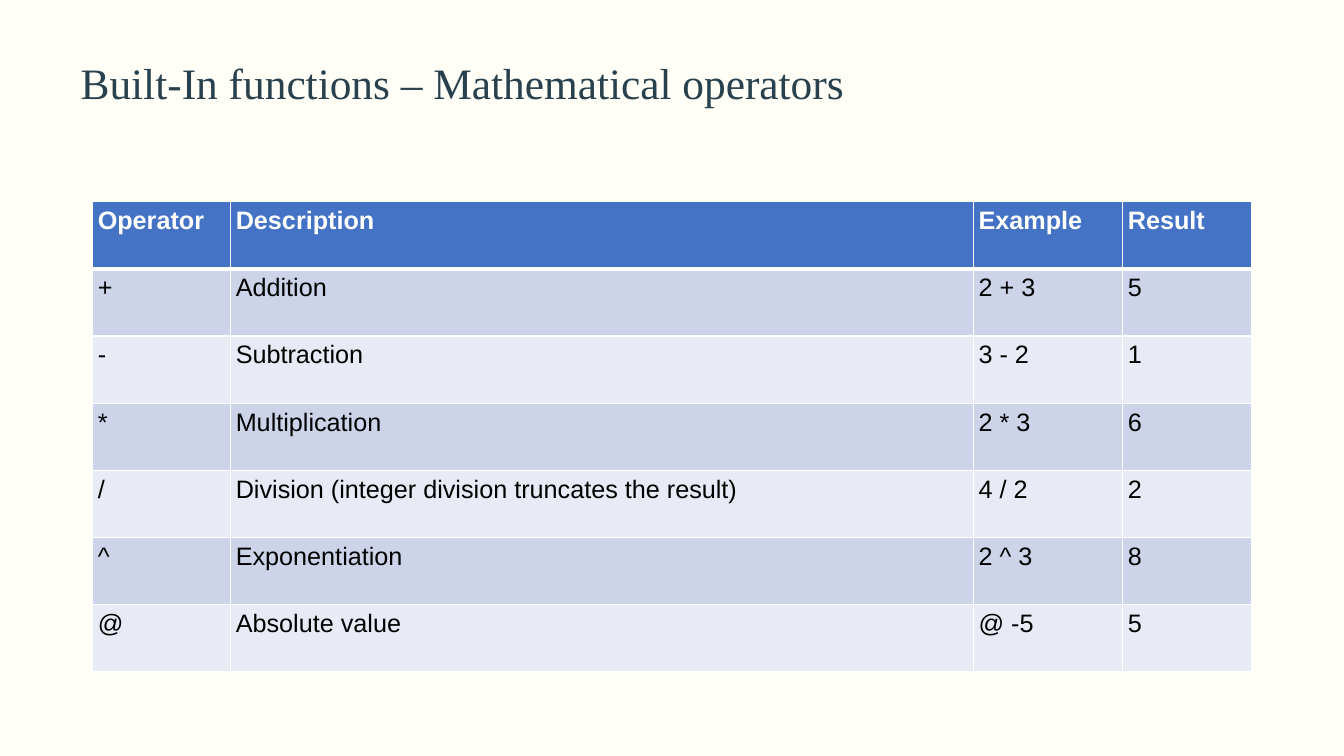
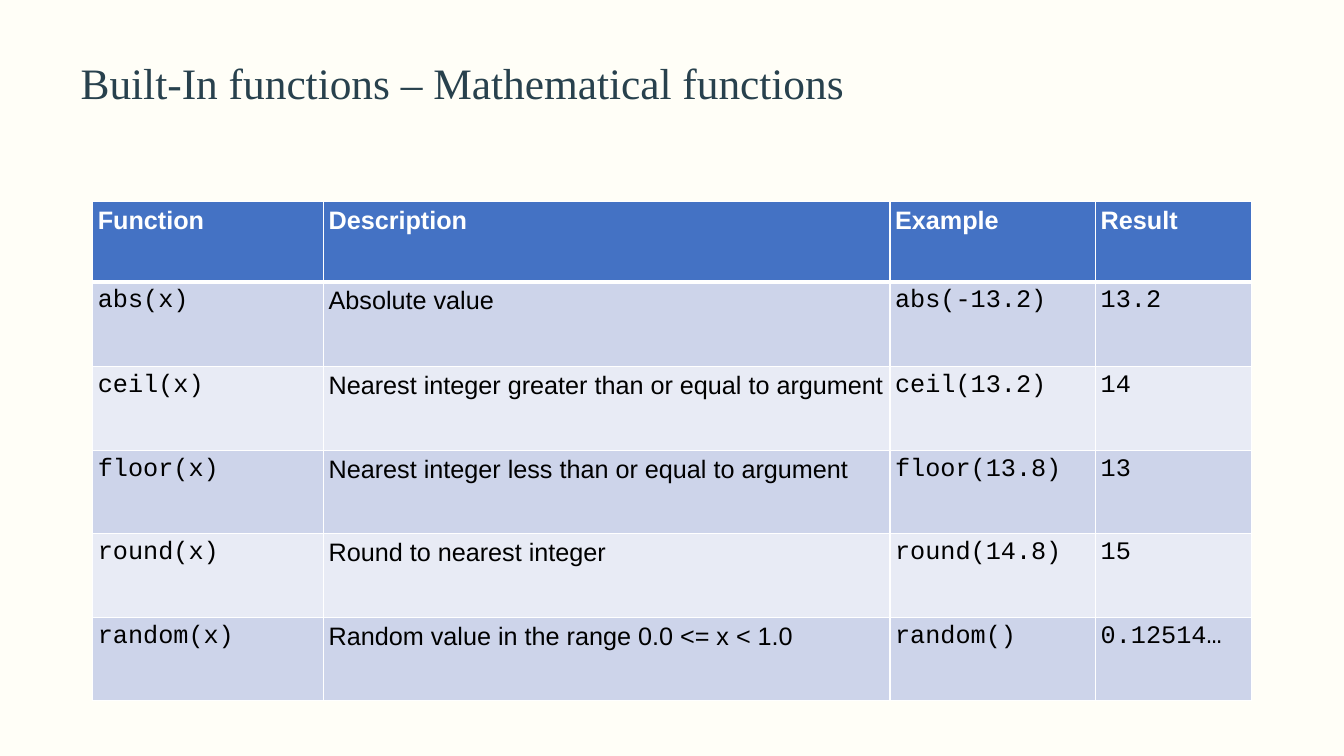
from dataclasses import dataclass

from lxml import etree
from pptx import Presentation
from pptx import util as u
from pptx.dml.color import RGBColor
from pptx.enum import text
from pptx.oxml import ns

Pt = u.Pt


@dataclass(frozen=True)
class Theme:
    """Hold the colours, fonts, sizes and margins of the deck."""
    page: str = "FFFEF7"
    title: str = "28414D"
    header: str = "4472C4"
    bands: tuple = ("CDD4EA", "E8EBF5")
    rule: str = "FFFFFF"
    header_text: str = "FFFFFF"
    body_text: str = "000000"
    serif: str = "Times New Roman"
    sans: str = "Arial"
    mono: str = "Courier New"
    title_size: int = 31
    cell_size: int = 18
    thin: float = 0.96
    thick: float = 3
    inset: float = 3.6


THEME = Theme()

OPERATORS = [
    ("Operator", "Description", "Example", "Result"),
    ("+", "Addition", "2 + 3", "5"),
    ("-", "Subtraction", "3 - 2", "1"),
    ("*", "Multiplication", "2 * 3", "6"),
    ("/", "Division (integer division truncates the result)", "4 / 2", "2"),
    ("^", "Exponentiation", "2 ^ 3", "8"),
    ("@", "Absolute value", "@ -5", "5"),
]

FUNCTIONS = [
    ("Function", "Description", "Example", "Result"),
    ("abs(x)", "Absolute value", "abs(-13.2)", "13.2"),
    ("ceil(x)", "Nearest integer greater than or equal to argument", "ceil(13.2)", "14"),
    ("floor(x)", "Nearest integer less than or equal to argument", "floor(13.8)", "13"),
    ("round(x)", "Round to nearest integer", "round(14.8)", "15"),
    ("random(x)", "Random value in the range 0.0 <= x < 1.0", "random()", "0.12514…"),
]


def write(frame, words, *, font, size, color, bold=False, spacing=None, before=None):
    """Write one formatted paragraph into a text frame."""
    paragraph = frame.paragraphs[0]
    paragraph.alignment = text.PP_ALIGN.LEFT
    if spacing is not None:
        paragraph.line_spacing = spacing
    if before is not None:
        paragraph.space_before = Pt(before)
    run = paragraph.add_run()
    run.text = words
    run.font.name = font
    run.font.size = Pt(size)
    run.font.bold = bold
    run.font.color.rgb = RGBColor.from_string(color)


def set_insets(holder):
    """Give a text frame or cell the deck's equal inner margins."""
    holder.margin_left = holder.margin_right = Pt(THEME.inset)
    holder.margin_top = holder.margin_bottom = Pt(THEME.inset)


def add_title(slide, words):
    """Add the slide title."""
    frame = slide.shapes.add_textbox(Pt(54), Pt(44), Pt(796), Pt(42.5)).text_frame
    frame.word_wrap = True
    frame.vertical_anchor = text.MSO_ANCHOR.TOP
    set_insets(frame)
    write(frame, words, font=THEME.serif, size=THEME.title_size,
          color=THEME.title, spacing=0.8, before=5)


def set_borders(cell, top, bottom):
    """Rule a cell on all four sides, with its own top and bottom weights."""
    properties = cell._tc.get_or_add_tcPr()
    weights = {"L": THEME.thin, "R": THEME.thin, "T": top, "B": bottom}
    for position, (side, weight) in enumerate(weights.items()):
        line = etree.Element(ns.qn(f"a:ln{side}"), w=str(int(Pt(weight))))
        fill = etree.SubElement(line, ns.qn("a:solidFill"))
        etree.SubElement(fill, ns.qn("a:srgbClr"), val=THEME.rule)
        properties.insert(position, line)


def fill_cell(cell, words, row, font):
    """Format one cell as header or banded body according to its row."""
    is_header = row == 0
    cell.fill.solid()
    cell.fill.fore_color.rgb = RGBColor.from_string(
        THEME.header if is_header else THEME.bands[(row - 1) % 2])
    set_borders(cell, top=THEME.thick if row == 1 else THEME.thin,
                bottom=THEME.thick if is_header else THEME.thin)
    set_insets(cell)
    cell.vertical_anchor = text.MSO_ANCHOR.TOP
    write(cell.text_frame, words, font=THEME.sans if is_header else font,
          size=THEME.cell_size, bold=is_header,
          color=THEME.header_text if is_header else THEME.body_text)


def add_reference_table(slide, entries, widths, heights, fonts):
    """Add a banded reference table with one body font per column."""
    table = slide.shapes.add_table(
        len(entries), len(widths), Pt(66.24), Pt(144),
        Pt(sum(widths)), Pt(sum(heights))).table
    for column, width in zip(table.columns, widths):
        column.width = Pt(width)
    for row, (entry, height) in enumerate(zip(entries, heights)):
        table.rows[row].height = Pt(height)
        for column, (words, font) in enumerate(zip(entry, fonts)):
            fill_cell(table.cell(row, column), words, row, font)


def add_reference_slide(deck, topic, entries, widths, heights, fonts):
    """Add a slide with a title and a reference table."""
    slide = deck.slides.add_slide(deck.slide_layouts[6])
    add_title(slide, f"Built-In functions – Mathematical {topic}")
    add_reference_table(slide, entries, widths, heights, fonts)


def main():
    """Build and save the deck."""
    deck = Presentation()
    deck.slide_width, deck.slide_height = Pt(960), Pt(540)
    page = deck.slide_master.background.fill
    page.solid()
    page.fore_color.rgb = RGBColor.from_string(THEME.page)
    sans, mono = THEME.sans, THEME.mono
    add_reference_slide(deck, "operators", OPERATORS,
                        widths=(98.6, 530.6, 106.6, 92.2),
                        heights=[48] * len(OPERATORS), fonts=[sans] * 4)
    add_reference_slide(deck, "functions", FUNCTIONS,
                        widths=(164.9, 404.6, 146.9, 111.6),
                        heights=[57.2, 60.9] + [59.6] * 4,
                        fonts=(mono, sans, mono, mono))
    deck.save("out.pptx")


if __name__ == "__main__":
    main()
